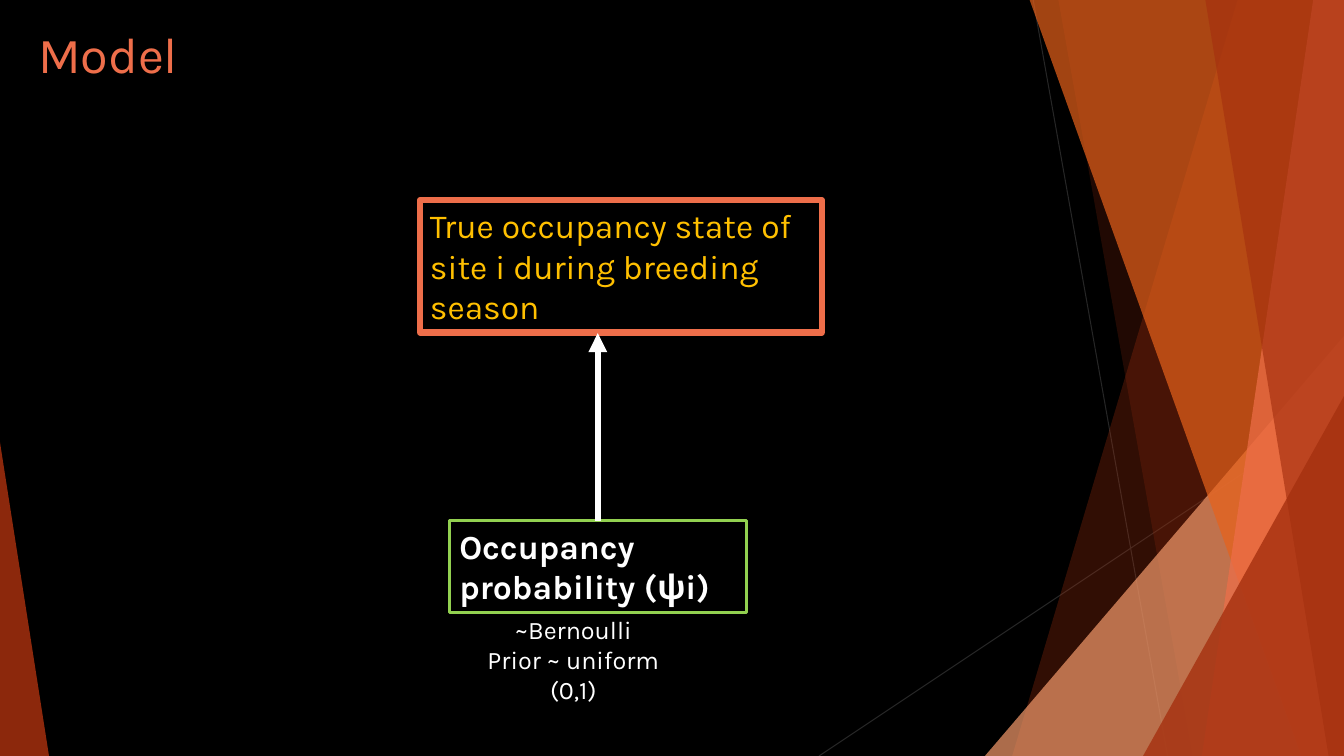
from dataclasses import dataclass

from lxml.etree import SubElement as Sub
from pptx import Presentation
from pptx.dml.color import RGBColor as Rgb
from pptx.enum.shapes import MSO_CONNECTOR as Link, MSO_SHAPE as Shape
from pptx.enum.text import MSO_ANCHOR as Anchor, PP_ALIGN as Align
from pptx.oxml.ns import qn
from pptx.util import Pt


@dataclass(frozen=True)
class Theme:
    """Colours, font and type sizes of the slide."""
    back: str = "000000"
    text: str = "FFFFFF"
    thin: str = "262626"
    rust: str = "A5300F"
    sand: str = "EF9769"
    flame: str = "E7611B"
    coral: str = "EE6E4A"
    gold: str = "FFC000"
    green: str = "92D050"
    font: str = "Karla"
    head: int = 36
    body: int = 24
    note: int = 18


LOOK = Theme()
WIDE, HIGH = 960, 540


def tint(fill, color, alpha=100):
    """Fill with a solid colour at alpha per cent opacity."""
    fill.solid()
    fill.fore_color.rgb = Rgb.from_string(color)
    if alpha < 100:
        tone = fill._xPr.find(qn("a:solidFill"))[0]
        Sub(tone, qn("a:alpha"), val=str(alpha * 1000))


def write(shape, text, size, color, bold=False, align=Align.LEFT):
    """Set wrapped text at the top of a shape and style its runs."""
    frame = shape.text_frame
    frame.text = text
    frame.word_wrap = True
    frame.vertical_anchor = Anchor.TOP
    for para in frame.paragraphs:
        para.alignment = align
        for run in para.runs:
            font = run.font
            font.name, font.size, font.bold = LOOK.font, Pt(size), bold
            font.color.rgb = Rgb.from_string(color)


def place(shape, left, top, width, height):
    """Move and size a shape."""
    shape.left, shape.top = Pt(left), Pt(top)
    shape.width, shape.height = Pt(width), Pt(height)


def facet(slide, points, color, alpha):
    """Draw a translucent polygon without an outline."""
    start, *rest = [(Pt(x), Pt(y)) for x, y in points]
    pen = slide.shapes.build_freeform(*start, scale=1.0)
    pen.add_line_segments(rest, close=True)
    shape = pen.convert_to_shape()
    shape.shadow.inherit = False
    tint(shape.fill, color, alpha)
    shape.line.fill.background()


def rule(slide, start, end, color, width, arrow=False):
    """Draw a straight line, with an arrowhead at its end if asked."""
    ends = [Pt(n) for n in (*start, *end)]
    line = slide.shapes.add_connector(Link.STRAIGHT, *ends)
    line.line.color.rgb = Rgb.from_string(color)
    line.line.width = Pt(width)
    if arrow:
        Sub(line.line._get_or_add_ln(), qn("a:tailEnd"), type="triangle")
    Sub(line._element.spPr, qn("a:effectLst"))


def node(slide, spot, text, edge, width, color, bold=False):
    """Draw an outlined box of the model with its label."""
    box = slide.shapes.add_shape(Shape.RECTANGLE, *map(Pt, spot))
    box.shadow.inherit = False
    tint(box.fill, LOOK.back)
    box.line.color.rgb = Rgb.from_string(edge)
    box.line.width = Pt(width)
    write(box, text, LOOK.body, color, bold)


def decor(slide):
    """Draw the thin lines and the overlapping facets at the edges."""
    rule(slide, (738, 0), (834, HIGH), LOOK.thin, 0.75)
    rule(slide, (WIDE, 290), (585, HIGH), LOOK.thin, 0.75)

    def band(top, foot):
        return [(top, 0), (WIDE, 0), (WIDE, HIGH), (foot, HIGH)]

    def wedge(foot, peak, side=WIDE):
        return [(foot, HIGH), (side, peak), (side, HIGH)]

    for points, color, alpha in (
        (band(884, 723), LOOK.rust, 30),
        (band(756, 852), LOOK.rust, 20),
        (wedge(703.5, 240), LOOK.sand, 72),
        (band(735.5, 929.5), LOOK.flame, 70),
        (band(938, 858.5), LOOK.coral, 70),
        (band(861, 949), LOOK.rust, 65),
        (wedge(816.5, 283), LOOK.rust, 80),
        (wedge(35, 316, 0), LOOK.rust, 85),
    ):
        facet(slide, points, color, alpha)


def main():
    """Build the slide and save it."""
    deck = Presentation()
    deck.slide_width, deck.slide_height = Pt(WIDE), Pt(HIGH)
    slide = deck.slides.add_slide(deck.slide_layouts[5])
    tint(slide.background.fill, LOOK.back)
    decor(slide)

    title = slide.shapes.title
    place(title, 20, 13, 677, 104)
    write(title, "Model", LOOK.head, LOOK.coral)

    node(slide, (321, 372, 212, 65.5), "Occupancy probability (ψi)",
         LOOK.green, 2.25, LOOK.text, bold=True)
    prior = slide.shapes.add_textbox(*map(Pt, (327, 435, 165, 73)))
    write(prior, "~Bernoulli\nPrior ~ uniform (0,1)", LOOK.note, LOOK.text,
          align=Align.CENTER)
    node(slide, (300, 143, 287, 94.5),
         "True occupancy state of site i during breeding season",
         LOOK.coral, 4.5, LOOK.gold)
    rule(slide, (427, 372), (427, 238), LOOK.text, 4.5, arrow=True)

    deck.save("out.pptx")


main()
